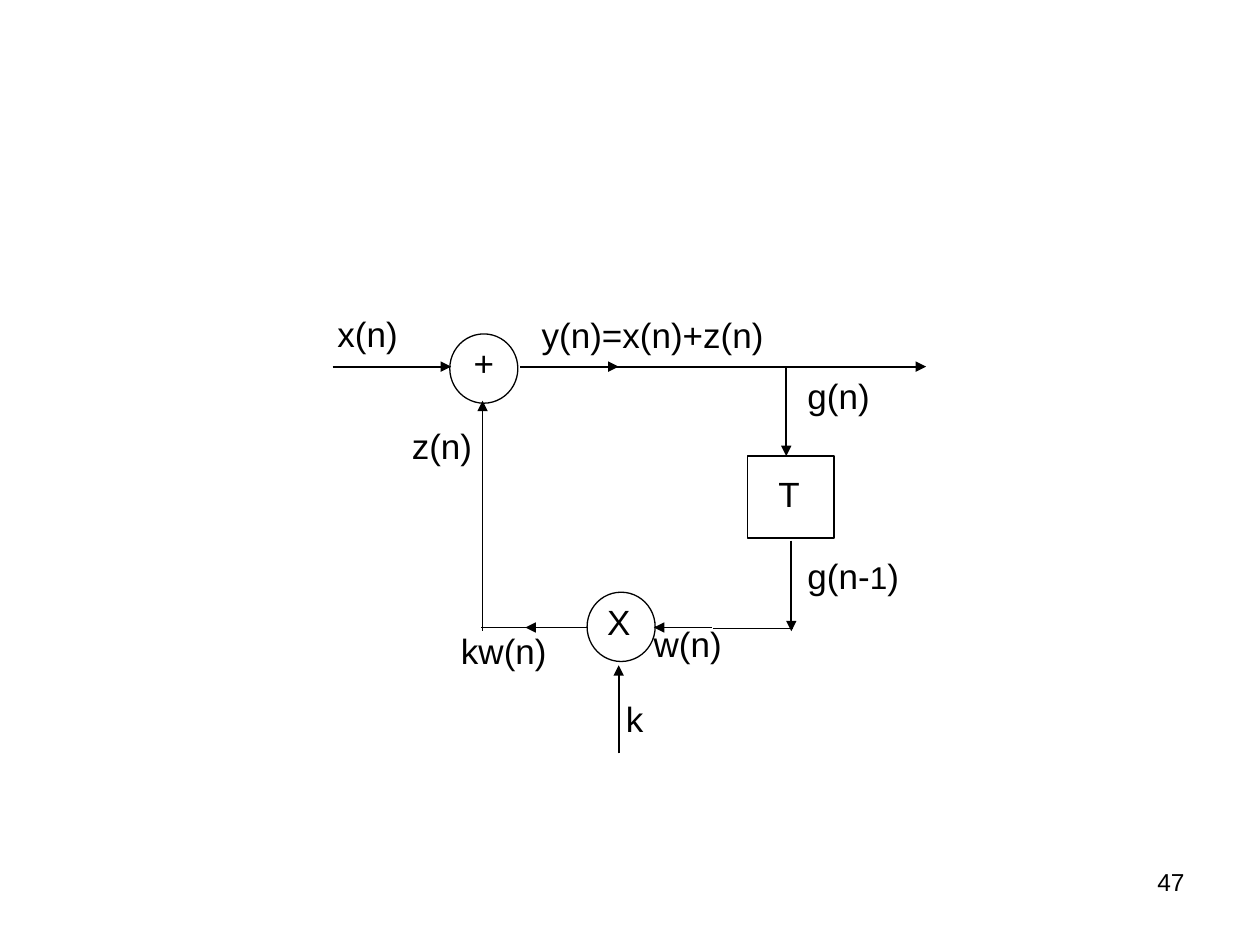
from dataclasses import dataclass

from lxml import etree
from pptx import Presentation
from pptx import util as u
from pptx.dml.color import RGBColor
from pptx.enum import shapes, text
from pptx.oxml.ns import qn

EMU_PER_PX = 9144  # 100 px to the inch
FONT = "Arial"
COLORS = {"ink": "000000"}
INK = RGBColor.from_string(COLORS["ink"])


def px(length: int) -> u.Emu:
    return u.Emu(length * EMU_PER_PX)


@dataclass
class Block:
    preset: shapes.MSO_SHAPE
    left: int
    top: int
    width: int
    height: int


@dataclass
class Wire:
    start: tuple[int, int]
    end: tuple[int, int]
    arrow: bool = True


@dataclass
class Label:
    words: str
    left: int
    top: int
    width: int
    height: int = 50


BLOCKS = [
    Block(shapes.MSO_SHAPE.OVAL, 357, 265, 54, 55),
    Block(shapes.MSO_SHAPE.RECTANGLE, 593, 362, 69, 65),
    Block(shapes.MSO_SHAPE.OVAL, 466, 470, 54, 55),
]

WIRES = [
    # forward path
    Wire((264, 291), (358, 291)),
    Wire((413, 291), (491, 291)),
    Wire((486, 291), (735, 291)),
    # through the delay T
    Wire((624, 291), (624, 362)),
    Wire((628, 429), (628, 501)),
    # through the multiplier and back to the adder
    Wire((566, 499), (629, 499), arrow=False),
    Wire((565, 498), (519, 498)),
    Wire((491, 598), (491, 528)),
    Wire((466, 498), (417, 498)),
    Wire((382, 498), (433, 498), arrow=False),
    Wire((383, 375), (383, 501), arrow=False),
    Wire((383, 385), (383, 318)),
]

LABELS = [
    Label("+", 366, 266, 39),
    Label("T", 608, 370, 40),
    Label("X", 472, 472, 44),
    Label("x(n)", 258, 243, 76),
    Label("y(n)=x(n)+z(n)", 420, 244, 222),
    Label("z(n)", 317, 332, 74),
    Label("g(n)", 631, 292, 76),
    Label("w(n)", 509, 489, 83),
    Label("kw(n)", 356, 495, 89, 44),
    Label("k", 487, 549, 37),
]
DELAYED_LABEL = Label("g(n-1)", 631, 435, 99)
PAGE_NUMBER = Label("47", 717, 683, 233, 52)


def draw_block(slide, block: Block) -> None:
    shape = slide.shapes.add_shape(
        block.preset, px(block.left), px(block.top), px(block.width), px(block.height)
    )
    shape.shadow.inherit = False
    shape.fill.background()
    shape.line.color.rgb = INK
    shape.line.width = u.Pt(0.75)


def draw_wire(slide, wire: Wire) -> None:
    connector = slide.shapes.add_connector(
        shapes.MSO_CONNECTOR.STRAIGHT, *map(px, wire.start + wire.end)
    )
    connector.line.color.rgb = INK
    connector.line.width = u.Pt(1 if wire.arrow else 0.75)
    properties = connector.element.spPr
    if wire.arrow:
        etree.SubElement(properties.find(qn("a:ln")), qn("a:tailEnd"), type="triangle")
    etree.SubElement(properties, qn("a:effectLst"))


def add_label(slide, label: Label, *, size: int = 20, wrap: bool = False,
              align=text.PP_ALIGN.LEFT, small: str = "") -> None:
    """Write a label; the part given as small is set at 18 points."""
    box = slide.shapes.add_textbox(
        px(label.left), px(label.top), px(label.width), px(label.height)
    )
    box.text_frame.word_wrap = wrap
    paragraph = box.text_frame.paragraphs[0]
    paragraph.alignment = align
    before, found, after = label.words.partition(small) if small else (label.words, "", "")
    for words, points in ((before, size), (found, 18), (after, size)):
        if words:
            run = paragraph.add_run()
            run.text = words
            run.font.name = FONT
            run.font.size = u.Pt(points)
            run.font.color.rgb = INK


def main() -> None:
    presentation = Presentation()
    presentation.slide_width, presentation.slide_height = px(1000), px(750)
    slide = presentation.slides.add_slide(presentation.slide_layouts[6])
    for block in BLOCKS:
        draw_block(slide, block)
    for wire in WIRES:
        draw_wire(slide, wire)
    for label in LABELS:
        add_label(slide, label)
    add_label(slide, DELAYED_LABEL, small="1")
    add_label(slide, PAGE_NUMBER, size=14, wrap=True, align=text.PP_ALIGN.RIGHT)
    presentation.save("out.pptx")


if __name__ == "__main__":
    main()
